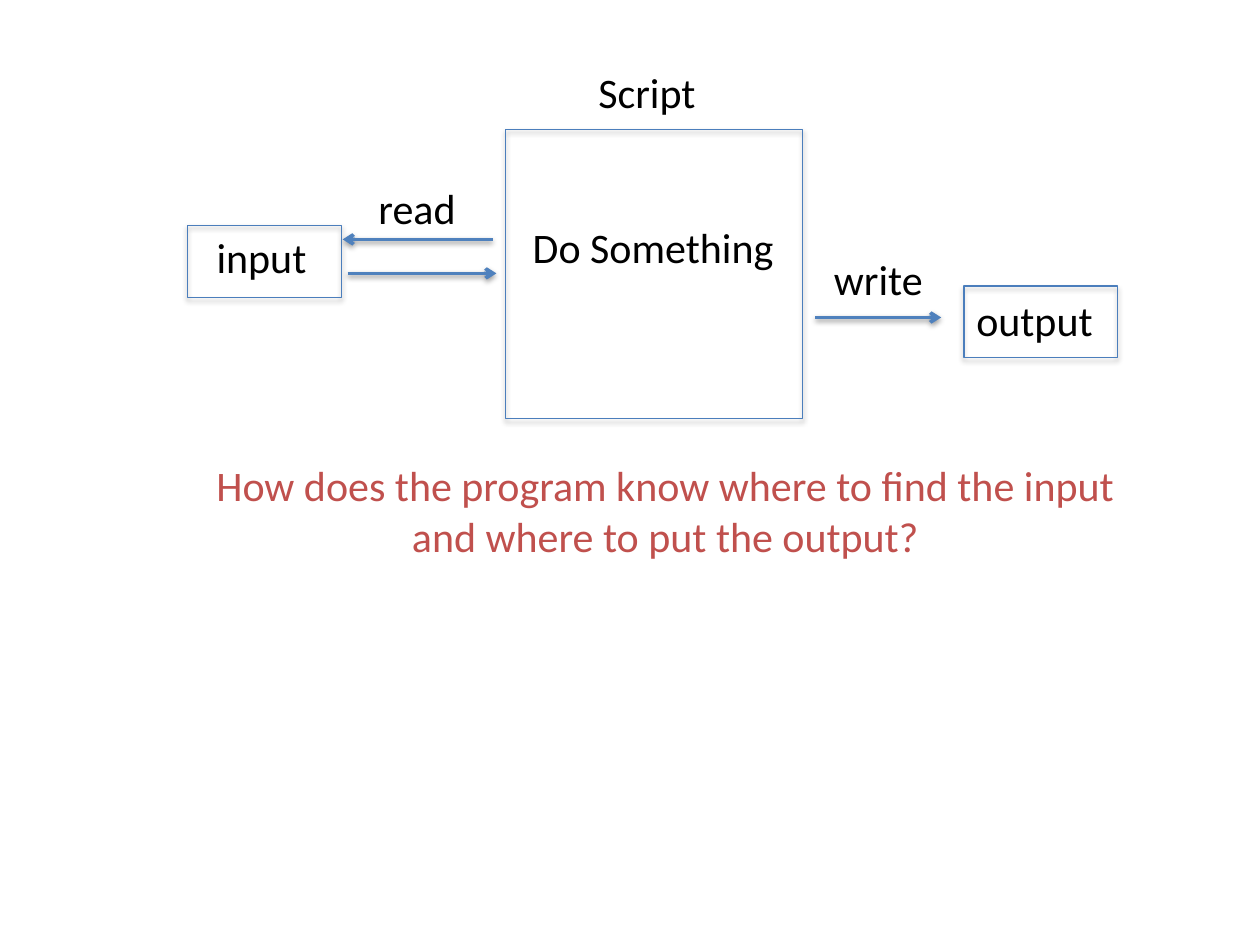
from pptx import Presentation
from pptx.dml.color import RGBColor as RGB
from pptx.enum.shapes import MSO_CONNECTOR as Line, MSO_SHAPE as Shape
from pptx.enum.text import MSO_AUTO_SIZE as Fit, PP_ALIGN as Align
from pptx.oxml import parse_xml
from pptx.oxml.ns import nsdecls
from pptx.util import Inches, Pt

BLACK = RGB(0x00, 0x00, 0x00)
EDGE = RGB(0x4B, 0x7E, 0xBC)
BLUE = RGB(0x4F, 0x81, 0xBD)
RED = RGB(0xC0, 0x50, 0x4D)


def shade(item, dist, alpha):
    item._element.spPr.append(parse_xml(
        f'<a:effectLst {nsdecls("a")}><a:outerShdw blurRad="{Pt(3.1)}" '
        f'dist="{Pt(dist)}" dir="5400000" rotWithShape="0">'
        f'<a:srgbClr val="000000"><a:alpha val="{alpha * 1000}"/></a:srgbClr>'
        '</a:outerShdw></a:effectLst>'))


def frame(slide, x, y, w, h):
    rect = slide.shapes.add_shape(
        Shape.RECTANGLE, Inches(x), Inches(y), Inches(w), Inches(h))
    rect.fill.background()
    rect.line.color.rgb = EDGE
    rect.line.width = Pt(0.75)
    shade(rect, 1.8, 35)


def label(slide, text, x, y, w, h=0.5, color=BLACK, align=Align.LEFT, wrap=False):
    box = slide.shapes.add_textbox(Inches(x), Inches(y), Inches(w), Inches(h))
    body = box.text_frame
    body.word_wrap = wrap
    body.auto_size = Fit.SHAPE_TO_FIT_TEXT
    para = body.paragraphs[0]
    para.alignment = align
    run = para.add_run()
    run.text = text
    run.font.name = "Calibri"
    run.font.size = Pt(24)
    run.font.color.rgb = color


def arrow(slide, start, end, y):
    line = slide.shapes.add_connector(
        Line.STRAIGHT, Inches(start), Inches(y), Inches(end), Inches(y))
    line.line.color.rgb = BLUE
    line.line.width = Pt(2)
    line.line._get_or_add_ln().append(
        parse_xml(f'<a:tailEnd {nsdecls("a")} type="arrow"/>'))
    shade(line, 1.6, 38)


def script(slide, x, y, w, h):
    frame(slide, x, y, w, h)
    label(slide, "Script", x + 0.64, y - 0.55, 0.98)
    label(slide, "Do Something", x + 0.12, y + 0.68, 2.13)


def store(slide, text, x, y, dx, dy, w):
    frame(slide, x, y, 1.22, 0.57)
    label(slide, text, x + dx, y + dy, w)


def read(slide, x, y):
    label(slide, "read", x + 0.18, y - 0.5, 0.82, align=Align.CENTER)
    arrow(slide, x + 1.19, x, y)
    arrow(slide, x + 0.04, x + 1.22, y + 0.27)


def write(slide, x, y):
    label(slide, "write", x + 0.05, y - 0.56, 0.92)
    arrow(slide, x, x + 1, y)


def main():
    deck = Presentation()
    deck.slide_width, deck.slide_height = Inches(10), Inches(7.5)
    slide = deck.slides.add_slide(deck.slide_layouts[6])
    script(slide, 4.01, 1.03, 2.36, 2.29)
    store(slide, "input", 1.49, 1.79, 0.13, 0, 0.92)
    store(slide, "output", 7.65, 2.27, 0, 0.02, 1.14)
    read(slide, 2.72, 1.9)
    write(slide, 6.47, 2.52)
    label(slide, "How does the program know where to find the input "
          "and where to put the output?", 1.42, 3.6, 7.72, 0.91,
          RED, Align.CENTER, True)
    deck.save("out.pptx")


main()
